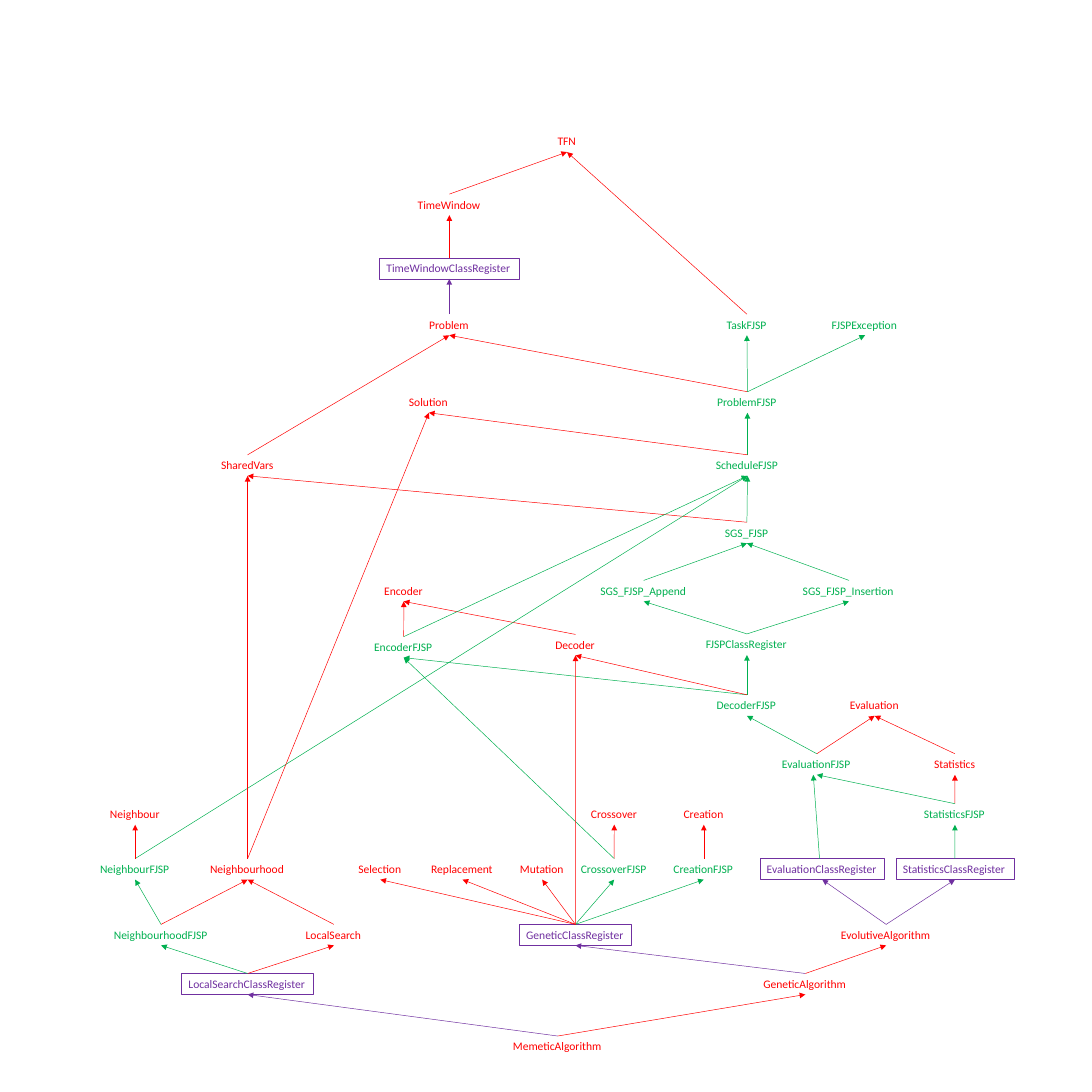
from dataclasses import dataclass

from pptx import Presentation
from pptx.dml.color import RGBColor
from pptx.enum.shapes import MSO_CONNECTOR as CXN, MSO_SHAPE as SHAPE
from pptx.enum.text import MSO_ANCHOR as ANCHOR, MSO_AUTO_SIZE as FIT, PP_ALIGN as ALIGN
from pptx.oxml.ns import qn
from pptx.util import Cm, Pt
from lxml.etree import SubElement

TOP, BOTTOM = 0, 2


@dataclass(frozen=True)
class Theme:
    generic: RGBColor = RGBColor(0xFF, 0x00, 0x00)
    fjsp: RGBColor = RGBColor(0x00, 0xB0, 0x50)
    register: RGBColor = RGBColor(0x70, 0x30, 0xA0)
    font: str = "Calibri"
    text_size: Pt = Pt(12)
    border: Pt = Pt(0.75)
    arrow: Pt = Pt(0.5)
    label_height: float = 0.77


def apply(target, values):
    for name, value in values.items():
        setattr(target, name, value)


class ClassDiagram:
    def __init__(self, slide, theme):
        self.slide = slide
        self.theme = theme
        self.nodes = {}

    def add_name(self, sp, text, color):
        tf = sp.text_frame
        apply(tf, {"word_wrap": False, "auto_size": FIT.SHAPE_TO_FIT_TEXT,
                   "vertical_anchor": ANCHOR.TOP})
        p = tf.paragraphs[0]
        p.alignment = ALIGN.LEFT
        r = p.add_run()
        r.text = text
        apply(r.font, {"name": self.theme.font, "size": self.theme.text_size})
        r.font.color.rgb = color
        self.nodes[text] = (sp, color)

    def frame(self, center, top, width):
        return Cm(center - width / 2), Cm(top), Cm(width), Cm(self.theme.label_height)

    def label(self, text, color, center, top, width):
        sp = self.slide.shapes.add_textbox(*self.frame(center, top, width))
        self.add_name(sp, text, color)

    def box(self, text, color, center, top, width):
        sp = self.slide.shapes.add_shape(SHAPE.RECTANGLE, *self.frame(center, top, width))
        sp.shadow.inherit = False
        sp.fill.background()
        sp.line.color.rgb = color
        sp.line.width = self.theme.border
        self.add_name(sp, text, color)

    def arrow(self, source, target, shifts=None):
        begin, _ = self.nodes[source]
        end, color = self.nodes[target]
        begin_shift, end_shift = shifts or (0, 0)
        link = self.slide.shapes.add_connector(
            CXN.STRAIGHT,
            begin.left + begin.width // 2 + Cm(begin_shift), begin.top,
            end.left + end.width // 2 + Cm(end_shift), end.top + end.height)
        if not shifts:
            link.begin_connect(begin, TOP)
            link.end_connect(end, BOTTOM)
        link.line.color.rgb = color
        link.line.width = self.theme.arrow
        SubElement(link.get_or_add_ln(), qn("a:tailEnd"), type="triangle")
        SubElement(link.element.spPr, qn("a:effectLst"))


GENERIC = [
    ("TFN", 20.77, 4.8, 1.19),
    ("TimeWindow", 16.46, 7.11, 2.82),
    ("Problem", 16.46, 11.51, 1.98),
    ("Solution", 15.71, 14.35, 1.96),
    ("SharedVars", 9.07, 16.66, 2.44),
    ("Encoder", 14.79, 21.26, 1.93),
    ("Decoder", 21.08, 23.24, 1.98),
    ("Evaluation", 32.04, 25.45, 2.31),
    ("Statistics", 34.98, 27.61, 2.03),
    ("Neighbour", 4.95, 29.44, 2.34),
    ("Crossover", 22.5, 29.44, 2.21),
    ("Creation", 25.78, 29.44, 1.98),
    ("Neighbourhood", 9.07, 31.45, 3.25),
    ("Selection", 13.93, 31.45, 2.11),
    ("Replacement", 16.94, 31.45, 2.79),
    ("Mutation", 19.86, 31.45, 2.13),
    ("LocalSearch", 12.23, 33.86, 2.57),
    ("EvolutiveAlgorithm", 32.46, 33.86, 3.81),
    ("GeneticAlgorithm", 29.5, 35.66, 3.58),
    ("MemeticAlgorithm", 20.43, 37.95, 3.78),
]
FJSP = [
    ("TaskFJSP", 27.36, 11.51, 1.98),
    ("FJSPException", 31.69, 11.51, 2.95),
    ("ProblemFJSP", 27.38, 14.35, 2.72),
    ("ScheduleFJSP", 27.38, 16.66, 2.82),
    ("SGS_FJSP", 27.36, 19.13, 2.11),
    ("SGS_FJSP_Append", 23.58, 21.26, 3.68),
    ("SGS_FJSP_Insertion", 31.1, 21.26, 3.89),
    ("FJSPClassRegister", 27.36, 23.22, 3.51),
    ("EncoderFJSP", 14.79, 23.32, 2.67),
    ("DecoderFJSP", 27.36, 25.45, 2.72),
    ("EvaluationFJSP", 29.92, 27.61, 3.05),
    ("StatisticsFJSP", 34.98, 29.44, 2.77),
    ("NeighbourFJSP", 4.95, 31.45, 3.07),
    ("CrossoverFJSP", 22.5, 31.45, 2.95),
    ("CreationFJSP", 25.78, 31.45, 2.72),
    ("NeighbourhoodFJSP", 5.9, 33.86, 3.96),
]
REGISTERS = [
    ("TimeWindowClassRegister", 16.46, 9.45, 5.11),
    ("EvaluationClassRegister", 30.12, 31.45, 4.57),
    ("StatisticsClassRegister", 34.98, 31.45, 4.32),
    ("GeneticClassRegister", 21.08, 33.86, 4.11),
    ("LocalSearchClassRegister", 9.07, 35.66, 4.83),
]
USES = {
    "TimeWindow": ["TFN"],
    "TimeWindowClassRegister": ["TimeWindow"],
    "Problem": ["TimeWindowClassRegister"],
    "TaskFJSP": ["TFN"],
    "ProblemFJSP": ["TaskFJSP", "Problem", "FJSPException"],
    "ScheduleFJSP": ["ProblemFJSP", "Solution"],
    "SharedVars": ["Problem"],
    "SGS_FJSP": ["ScheduleFJSP", "SharedVars"],
    "SGS_FJSP_Append": ["SGS_FJSP"],
    "SGS_FJSP_Insertion": ["SGS_FJSP"],
    "FJSPClassRegister": ["SGS_FJSP_Append", "SGS_FJSP_Insertion"],
    "Decoder": ["Encoder"],
    "EncoderFJSP": ["Encoder", "ScheduleFJSP"],
    "DecoderFJSP": ["EncoderFJSP", "Decoder", "FJSPClassRegister"],
    "EvaluationFJSP": ["Evaluation", "DecoderFJSP"],
    "Statistics": ["Evaluation"],
    "StatisticsFJSP": ["Statistics", "EvaluationFJSP"],
    "StatisticsClassRegister": ["StatisticsFJSP"],
    "NeighbourFJSP": ["ScheduleFJSP", "Neighbour"],
    "Neighbourhood": ["Solution", "SharedVars"],
    "CrossoverFJSP": ["Crossover", "EncoderFJSP"],
    "CreationFJSP": ["Creation"],
    "NeighbourhoodFJSP": ["NeighbourFJSP", "Neighbourhood"],
    "LocalSearch": ["Neighbourhood"],
    "GeneticClassRegister": ["CreationFJSP", "CrossoverFJSP", "Selection",
                             "Mutation", "Replacement", "Decoder"],
    "EvolutiveAlgorithm": ["EvaluationClassRegister", "StatisticsClassRegister"],
    "LocalSearchClassRegister": ["LocalSearch", "NeighbourhoodFJSP"],
    "GeneticAlgorithm": ["GeneticClassRegister", "EvolutiveAlgorithm"],
    "MemeticAlgorithm": ["LocalSearchClassRegister", "GeneticAlgorithm"],
}


def main():
    prs = Presentation()
    apply(prs, {"slide_width": Cm(40), "slide_height": Cm(40)})
    s = prs.slides.add_slide(prs.slide_layouts[6])
    theme = Theme()
    diagram = ClassDiagram(s, theme)
    for draw, color, nodes in [(diagram.label, theme.generic, GENERIC),
                               (diagram.label, theme.fjsp, FJSP),
                               (diagram.box, theme.register, REGISTERS)]:
        for text, center, top, width in nodes:
            draw(text, color, center, top, width)
    for source, targets in USES.items():
        for target in targets:
            diagram.arrow(source, target)
    diagram.arrow("EvaluationClassRegister", "EvaluationFJSP", shifts=(-0.1, -0.13))
    prs.save("out.pptx")


if __name__ == "__main__":
    main()
